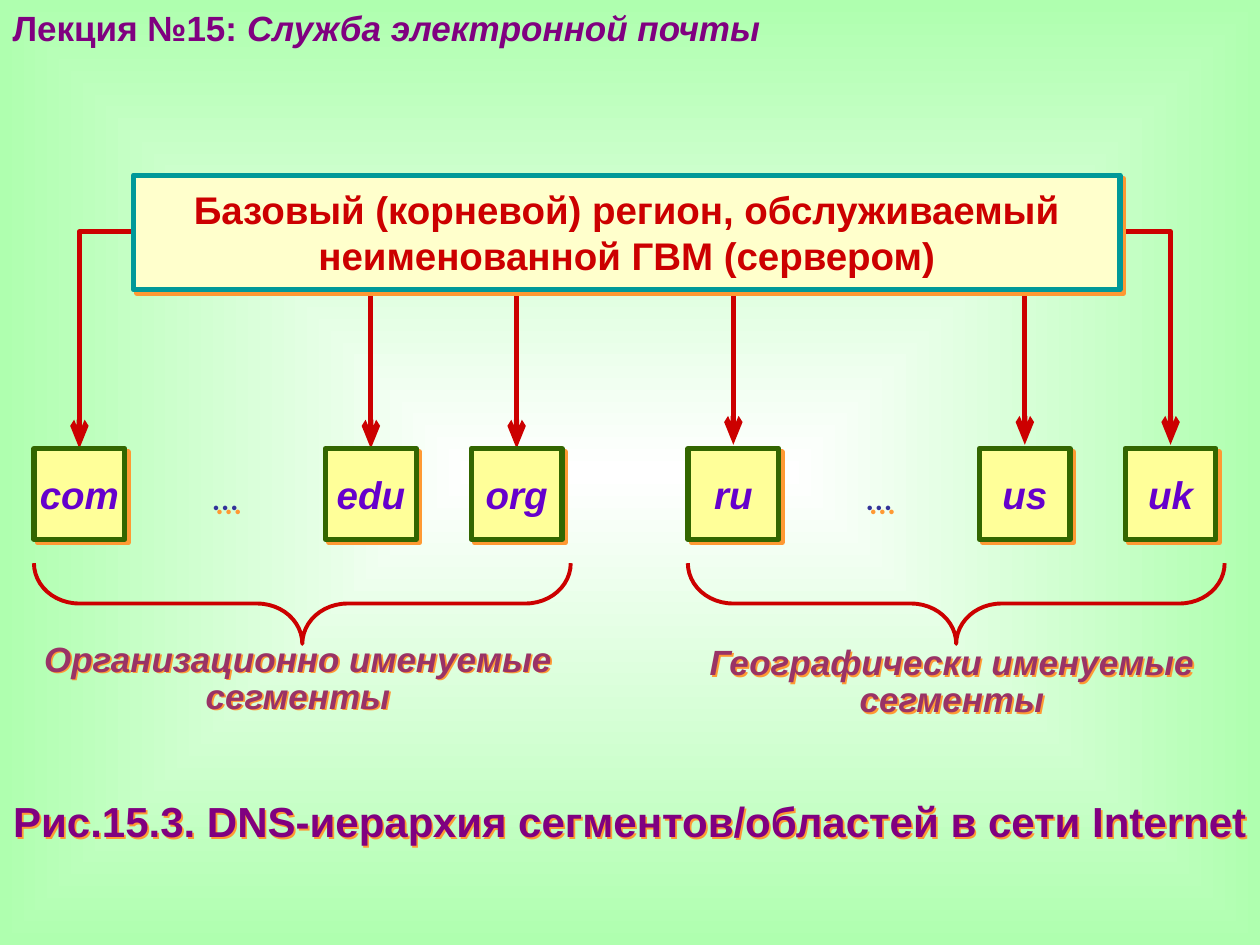
from pptx import Presentation
from pptx.util import Inches, Pt
from pptx.dml.color import RGBColor
from pptx.enum.shapes import MSO_SHAPE
from pptx.enum.text import MSO_ANCHOR, PP_ALIGN
from pptx.oxml import parse_xml
from pptx.oxml.ns import nsdecls, qn
from lxml.etree import SubElement

# Content
HEADER = [("Лекция №15: ", False), ("Служба электронной почты", True)]
ROOT = "Базовый (корневой) регион, обслуживаемый неименованной ГВМ (сервером)"
CAPTION = "Рис.15.3. DNS-иерархия сегментов/областей в сети Internet"
DOTS = "…"
GROUPS = [
    {"left": 0.27, "domains": ["com", DOTS, "edu", "org"], "label_top": 5.10,
     "label": ["Организационно именуемые", "сегменты"]},
    {"left": 5.46, "domains": ["ru", DOTS, "us", "uk"], "label_top": 5.13,
     "label": ["Географически именуемые", "сегменты"]},
]

# Layout, in inches
BOX_SIZE, BOX_TOP = 0.72, 3.56
GROUP_WIDTH = 4.19
STEP = (GROUP_WIDTH - BOX_SIZE) / 3
ARROW_TOP = 1.84
BRACE_WIDTH, BRACE_DEPTH, BRACE_TOP = 4.26, 0.64, 4.47

PURPLE, RED, ORANGE = "800080", "CC0000", "FF9933"


def color(value):
    return RGBColor.from_string(value)


def set_line(shape, value, width):
    shape.line.color.rgb = color(value)
    shape.line.width = Pt(width)


def add_shadow(shape, distance):
    shape._element.spPr.append(parse_xml(
        f'<a:effectLst {nsdecls("a")}><a:outerShdw dist="{Pt(distance)}" dir="2700000" '
        f'algn="ctr" rotWithShape="0"><a:srgbClr val="{ORANGE}"/></a:outerShdw></a:effectLst>'))


def add_run(para, text, size, value, bold=True, italic=False, font="Arial"):
    span = para.add_run()
    span.text = text
    span.font.name, span.font.size = font, Pt(size)
    span.font.bold, span.font.italic = bold, italic
    span.font.color.rgb = color(value)


def prepare_frame(shape, anchor=MSO_ANCHOR.MIDDLE, inset=(0, 0)):
    frame = shape.text_frame
    frame.word_wrap = True
    frame.vertical_anchor = anchor
    frame.margin_left = frame.margin_right = Inches(inset[0])
    frame.margin_top = frame.margin_bottom = Inches(inset[1])
    return frame


def write_lines(frame, lines, size, value, spacing=None, **style):
    for index, text in enumerate(lines):
        para = frame.add_paragraph() if index else frame.paragraphs[0]
        para.alignment = PP_ALIGN.CENTER
        if spacing:
            para.line_spacing = spacing
        add_run(para, text, size, value, **style)


def add_text(page, left, top, width, height):
    return page.shapes.add_textbox(*map(Inches, (left, top, width, height)))


def add_box(page, left, top, width, height, fill, line):
    box = page.shapes.add_shape(
        MSO_SHAPE.RECTANGLE, *map(Inches, (left, top, width, height)))
    box.fill.solid()
    box.fill.fore_color.rgb = color(fill)
    set_line(box, line, 3)
    add_shadow(box, 2.8)
    return box


def add_domain(page, left, name):
    place = (left, BOX_TOP, BOX_SIZE, BOX_SIZE)
    if name == DOTS:
        box = add_text(page, *place)
        add_shadow(box, 2.8)
        write_lines(prepare_frame(box), [name], 24, "333399", bold=False, font="Montserrat")
    else:
        box = add_box(page, *place, "FFFF99", "336600")
        write_lines(prepare_frame(box), [name], 22, "6600CC", italic=True)


def add_double_arrow(page, start, end):
    points = [(start, BOX_TOP), (start, ARROW_TOP), (end, ARROW_TOP), (end, BOX_TOP - 0.03)]
    points = [(Inches(x), Inches(y)) for x, y in points]
    builder = page.shapes.build_freeform(*points[0])
    builder.add_line_segments(points[1:], close=False)
    arrow = builder.convert_to_shape()
    arrow.fill.background()
    arrow.shadow.inherit = False
    set_line(arrow, RED, 3)
    line = arrow.line._get_or_add_ln()
    for end_name in ("a:headEnd", "a:tailEnd"):
        SubElement(line, qn(end_name), type="arrow", w="med", len="lg")


def add_brace(page, center):
    # The brace is drawn upright, then turned about its centre
    middle = BRACE_TOP + BRACE_DEPTH / 2
    brace = page.shapes.add_shape(
        MSO_SHAPE.LEFT_BRACE, Inches(center - BRACE_DEPTH / 2),
        Inches(middle - BRACE_WIDTH / 2), Inches(BRACE_DEPTH), Inches(BRACE_WIDTH))
    brace.rotation = 270
    brace.adjustments[0] = 0.56
    brace.adjustments[1] = 0.5
    brace.fill.background()
    brace.shadow.inherit = False
    set_line(brace, RED, 2.25)


def set_background(page):
    fill = page.background.fill
    fill.gradient()
    for stop, value in zip(fill.gradient_stops, ("FFFFFF", "AFFFAF")):
        stop.color.rgb = color(value)
    gradient = page.element.find(".//" + qn("a:gradFill"))
    gradient.remove(gradient.find(qn("a:lin")))
    shade = SubElement(gradient, qn("a:path"), path="shape")
    SubElement(shade, qn("a:fillToRect"), l="50000", t="50000", r="50000", b="50000")


def main():
    deck = Presentation()
    deck.slide_width, deck.slide_height = Inches(10), Inches(7.5)
    page = deck.slides.add_slide(deck.slide_layouts[5])
    set_background(page)

    # Header
    title = page.shapes.title
    title.left, title.top, title.width, title.height = map(Inches, (0, 0, 10, 0.43))
    para = prepare_frame(title, MSO_ANCHOR.TOP, (0.1, 0.05)).paragraphs[0]
    para.alignment = PP_ALIGN.LEFT
    for text, italic in HEADER:
        add_run(para, text, 20, PURPLE, italic=italic)

    # Arrows join matching columns of both groups, behind the root box
    first, second = (group["left"] + BOX_SIZE / 2 for group in GROUPS)
    for column, name in enumerate(GROUPS[0]["domains"]):
        if name != DOTS:
            add_double_arrow(page, first + column * STEP, second + column * STEP)
    root = add_box(page, 1.06, 1.39, 7.83, 0.91, "FFFFCC", "009999")
    write_lines(prepare_frame(root), [ROOT], 22, RED)

    # Domain groups
    for group in GROUPS:
        left = group["left"]
        for column, name in enumerate(group["domains"]):
            add_domain(page, left + column * STEP, name)
        add_brace(page, left + BRACE_WIDTH / 2)
        label = add_text(page, left, group["label_top"], GROUP_WIDTH, 0.62)
        add_shadow(label, 1.4)
        write_lines(prepare_frame(label, MSO_ANCHOR.TOP), group["label"], 20, "993366",
                    spacing=0.88, italic=True)

    # Caption
    caption = add_text(page, 0, 6.31, 10, 0.82)
    add_shadow(caption, 1.4)
    write_lines(prepare_frame(caption, MSO_ANCHOR.TOP, (0.1, 0.05)), [CAPTION], 24, PURPLE,
                spacing=0.9)

    deck.save("out.pptx")


if __name__ == "__main__":
    main()
